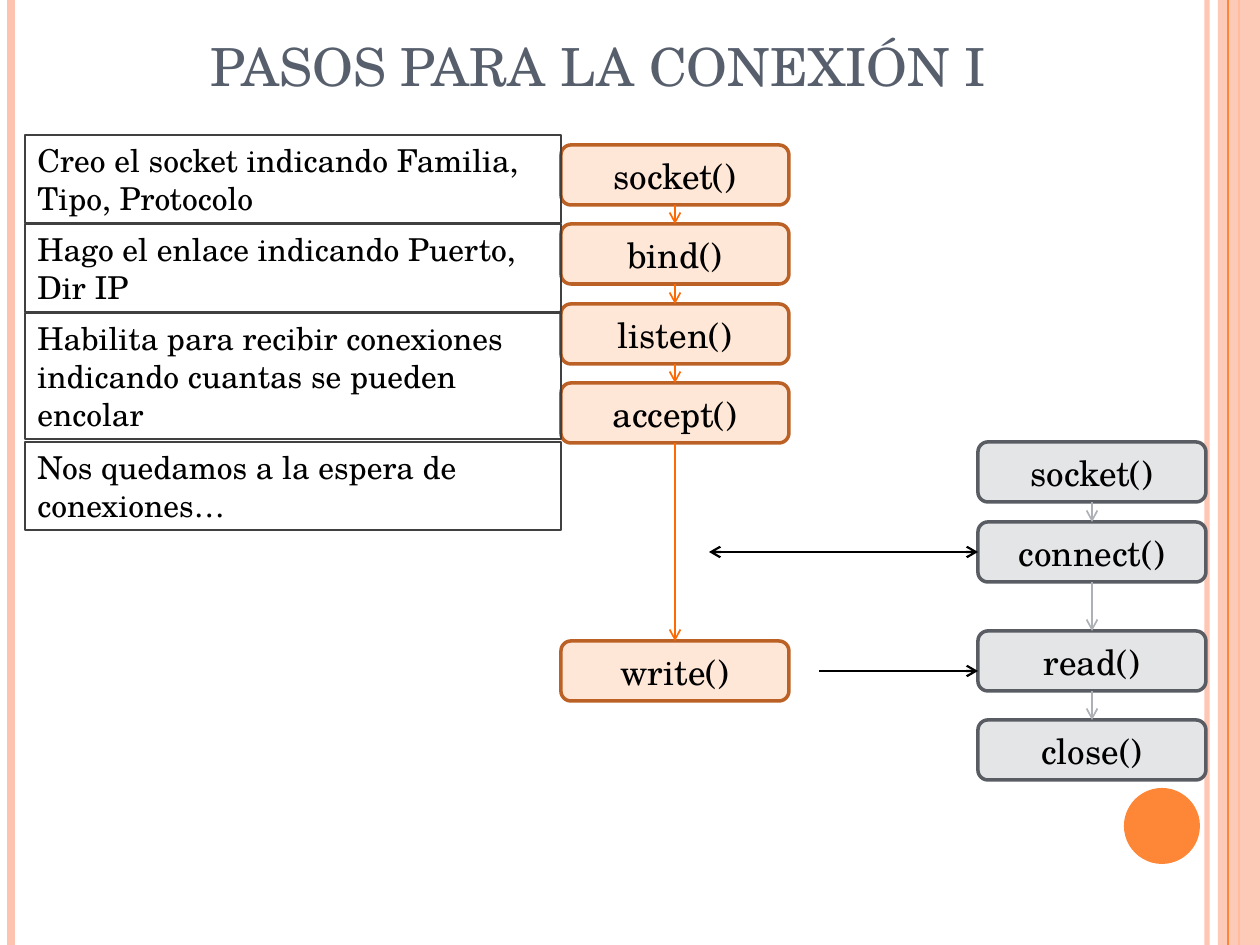
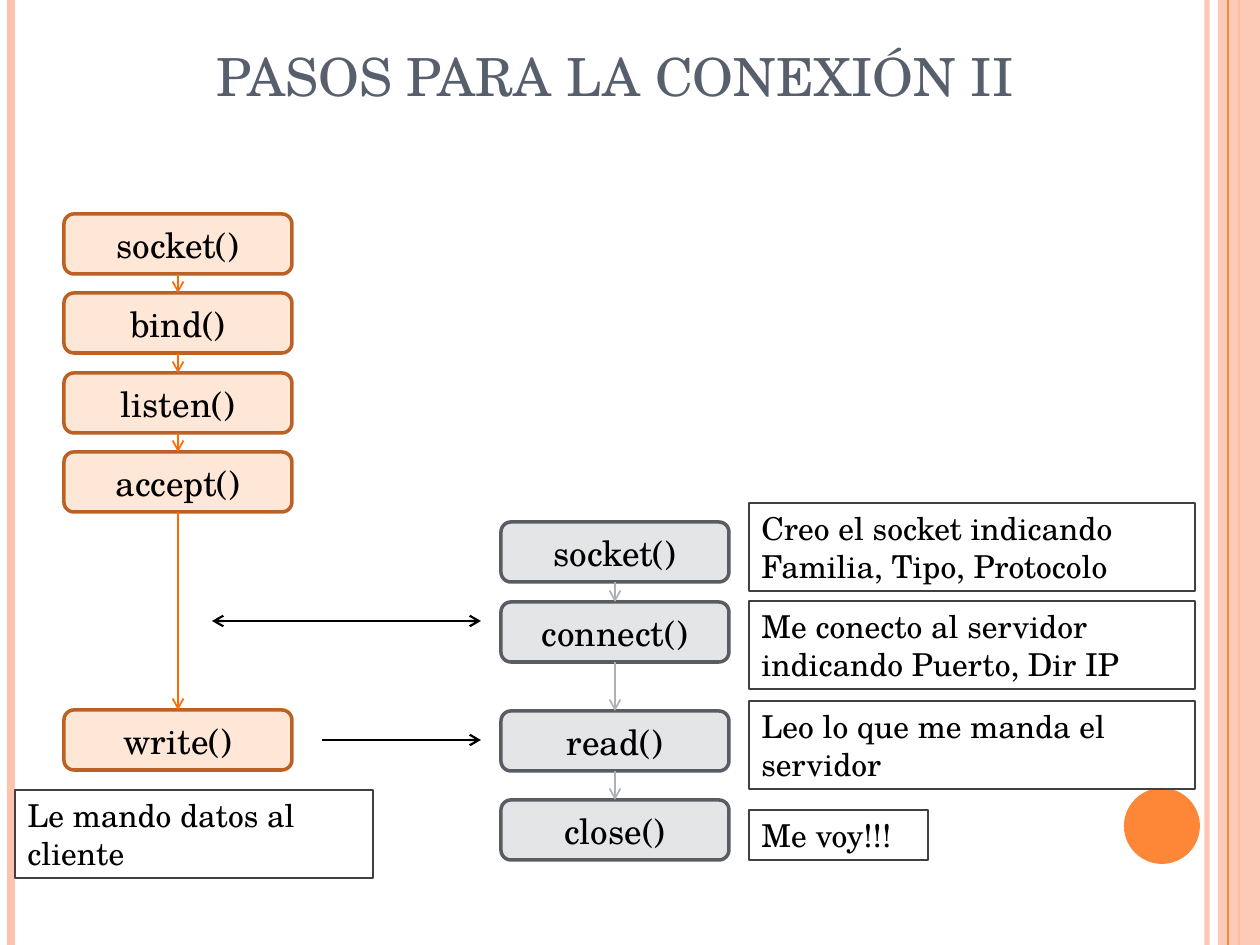
from lxml import etree
from pptx import Presentation
from pptx.dml.color import RGBColor
from pptx.enum.shapes import MSO_CONNECTOR, MSO_SHAPE
from pptx.enum.text import MSO_ANCHOR, MSO_AUTO_SIZE, PP_ALIGN
from pptx.oxml.ns import qn
from pptx.util import Emu, Pt

RECT, ROUNDED, OVAL = MSO_SHAPE.RECTANGLE, MSO_SHAPE.ROUNDED_RECTANGLE, MSO_SHAPE.OVAL
STRAIGHT = MSO_CONNECTOR.STRAIGHT
LEFT, CENTER = PP_ALIGN.LEFT, PP_ALIGN.CENTER
TOP, BOTTOM = MSO_ANCHOR.TOP, MSO_ANCHOR.BOTTOM
NO_AUTOFIT = MSO_AUTO_SIZE.NONE
SITE_TOP, SITE_LEFT, SITE_BOTTOM = 0, 1, 2

FONT = "TeX Gyre Schola"
PINK = RGBColor(0xFE, 0xC3, 0xAE)
ORANGE = RGBColor(0xFE, 0x86, 0x37)
TITLE_GREY = RGBColor(0x57, 0x5F, 0x6D)
NOTE_EDGE = RGBColor(0x40, 0x40, 0x40)
BLACK = RGBColor(0x00, 0x00, 0x00)
# Fill, edge and arrow colour of each side of the connection
SERVER_COLOURS = (RGBColor(0xFF, 0xE7, 0xD7), RGBColor(0xBB, 0x61, 0x26),
                  RGBColor(0xFF, 0x69, 0x03))
CLIENT_COLOURS = (RGBColor(0xE4, 0xE5, 0xE6), RGBColor(0x59, 0x5D, 0x63),
                  RGBColor(0xAD, 0xB0, 0xB5))

PX_PER_INCH = 126
SLIDE_W, SLIDE_H = 1260, 945
CALL_W, CALL_H = 228, 60
NOTE_H = 88

# Calls with their distance below the top of the column
SERVER_CALLS = (("socket()", 0), ("bind()", 79), ("listen()", 159),
                ("accept()", 238), ("write()", 496))
CLIENT_CALLS = (("socket()", 0), ("connect()", 80), ("read()", 189), ("close()", 278))


def px(length):
    return Emu(round(length * 914400 / PX_PER_INCH))


def set_opacity(shape, percent):
    colour = next(shape.element.iter(qn("a:srgbClr")))
    etree.SubElement(colour, qn("a:alpha")).set("val", str(percent * 1000))


def write(shape, text, size, colour, align, anchor):
    frame = shape.text_frame
    frame.word_wrap = True
    frame.auto_size = NO_AUTOFIT
    frame.vertical_anchor = anchor
    paragraph = frame.paragraphs[0]
    paragraph.alignment = align
    run = paragraph.add_run()
    run.text = text
    run.font.name = FONT
    run.font.size = Pt(size)
    run.font.color.rgb = colour


def add_block(slide, kind, left, top, width, height, fill=None, edge=None, edge_pt=1):
    block = slide.shapes.add_shape(kind, px(left), px(top), px(width), px(height))
    block.shadow.inherit = False
    if fill is None:
        block.fill.background()
    else:
        block.fill.solid()
        block.fill.fore_color.rgb = fill
    if edge is None:
        block.line.fill.background()
    else:
        block.line.color.rgb = edge
        block.line.width = Pt(edge_pt)
    return block


def add_line(slide, start, end, colour, width, heads=()):
    line = slide.shapes.add_connector(STRAIGHT, *map(px, start + end))
    line.line.color.rgb = colour
    line.line.width = Pt(width)
    properties = line.element.spPr
    for head in heads:
        etree.SubElement(properties.find(qn("a:ln")), qn(head)).set("type", "arrow")
    etree.SubElement(properties, qn("a:effectLst"))
    return line


def add_arrow(slide, start, end, colour, width, both_ways=False):
    heads = ("a:headEnd", "a:tailEnd") if both_ways else ("a:tailEnd",)
    return add_line(slide, start, end, colour, width, heads)


def add_frame(slide, layout):
    """Draw the side bands and the circle, then hand them to the layout."""
    for placeholder in list(layout.placeholders)[1:]:
        layout.shapes.element.remove(placeholder.element)

    def rule(x, colour, width):
        return add_line(slide, (x, 0), (x, SLIDE_H), colour, width)

    inner_rule = rule(1207, PINK, 3)
    set_opacity(inner_rule, 93)
    left_rule = rule(11, PINK, 4.5)
    covered_rule = rule(1239, ORANGE, 1.5)
    band = add_block(slide, RECT, 1218, 0, 42, SLIDE_H, PINK)
    set_opacity(band, 87)
    band_rule = rule(1228, ORANGE, 0.75)
    circle = add_block(slide, OVAL, 1124, 788, 76, 76, ORANGE)
    for part in (inner_rule, left_rule, covered_rule, band, band_rule, circle):
        layout.shapes.element.append(part.element)


def set_title(slide, text, left, top, width, height):
    title = slide.shapes.title
    title.left, title.top = px(left), px(top)
    title.width, title.height = px(width), px(height)
    write(title, text, 30, TITLE_GREY, CENTER, BOTTOM)


def add_calls(slide, calls, left, top, colours):
    """Stack the calls of one side and chain them with arrows."""
    fill, edge, arrow_colour = colours
    boxes = []
    for name, offset in calls:
        box = add_block(slide, ROUNDED, left, top + offset, CALL_W, CALL_H, fill, edge, 2)
        write(box, name, 20, BLACK, CENTER, TOP)
        boxes.append(box)
    for upper, lower in zip(boxes, boxes[1:]):
        arrow = add_arrow(slide, (0, 0), (0, 0), arrow_colour, 1)
        arrow.begin_connect(upper, SITE_BOTTOM)
        arrow.end_connect(lower, SITE_TOP)
    return boxes


def add_exchange(slide, server_left, server_top, client_edge):
    """Arrows between server and client; returns the two-way one."""
    connect_y, data_y = server_top + 407, server_top + 526
    handshake = add_arrow(slide, (server_left + 148, connect_y), (client_edge, connect_y),
                          BLACK, 1.25, both_ways=True)
    add_arrow(slide, (server_left + 258, data_y), (client_edge, data_y), BLACK, 1.25)
    return handshake


def add_note(slide, text, left, top, width, height=NOTE_H):
    note = add_block(slide, RECT, left, top, width, height, edge=NOTE_EDGE, edge_pt=0.75)
    write(note, text, 18, BLACK, LEFT, TOP)


def build_server_steps(slide):
    set_title(slide, "PASOS PARA LA CONEXIÓN I", 84, 26, 1029, 77)
    add_calls(slide, SERVER_CALLS, 561, 145, SERVER_COLOURS)
    client = add_calls(slide, CLIENT_CALLS, 978, 442, CLIENT_COLOURS)
    handshake = add_exchange(slide, 561, 145, 978)
    handshake.end_connect(client[1], SITE_LEFT)
    for text, top, height in (
        ("Creo el socket indicando Familia, Tipo, Protocolo", 135, NOTE_H),
        ("Hago el enlace indicando Puerto, Dir IP", 224, NOTE_H),
        ("Habilita para recibir conexiones indicando cuantas se pueden encolar", 313, 126),
        ("Nos quedamos a la espera de conexiones…", 442, NOTE_H),
    ):
        add_note(slide, text, 25, top, 536, height)


def build_client_steps(slide):
    set_title(slide, "PASOS PARA LA CONEXIÓN II", 64, 26, 1102, 87)
    add_calls(slide, SERVER_CALLS, 64, 214, SERVER_COLOURS)
    add_calls(slide, CLIENT_CALLS, 501, 522, CLIENT_COLOURS)
    add_exchange(slide, 64, 214, 481)
    for text, top in (
        ("Creo el socket indicando Familia, Tipo, Protocolo", 503),
        ("Me conecto al servidor indicando Puerto, Dir IP", 601),
        ("Leo lo que me manda el servidor", 701),
    ):
        add_note(slide, text, 749, top, 446)
    add_note(slide, "Me voy!!!", 749, 810, 179, 50)
    add_note(slide, "Le mando datos al cliente", 15, 790, 358)


def main():
    deck = Presentation()
    deck.slide_width, deck.slide_height = px(SLIDE_W), px(SLIDE_H)
    title_only = deck.slide_layouts[5]
    server_slide = deck.slides.add_slide(title_only)
    add_frame(server_slide, title_only)
    build_server_steps(server_slide)
    build_client_steps(deck.slides.add_slide(title_only))
    deck.save("out.pptx")


if __name__ == "__main__":
    main()
